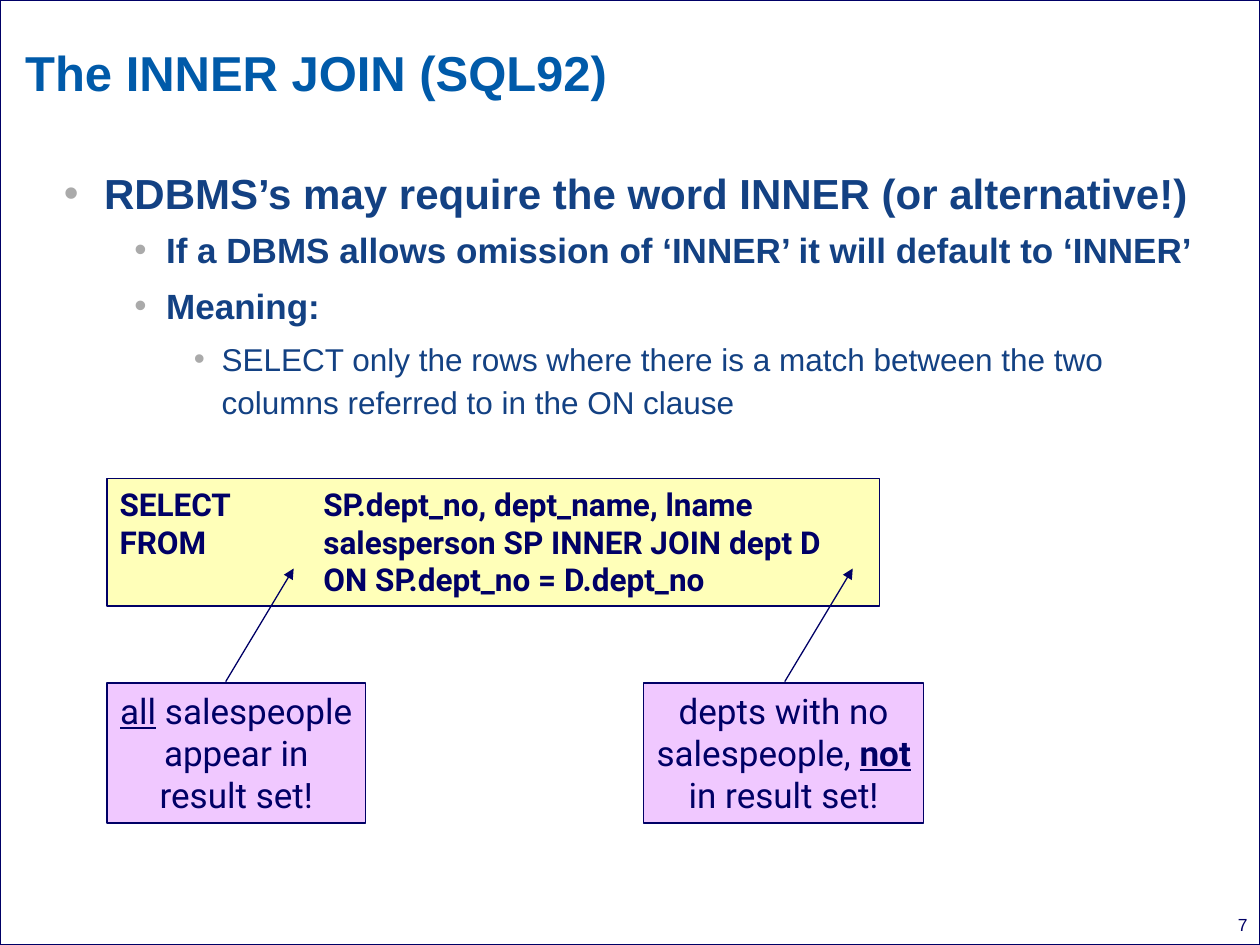
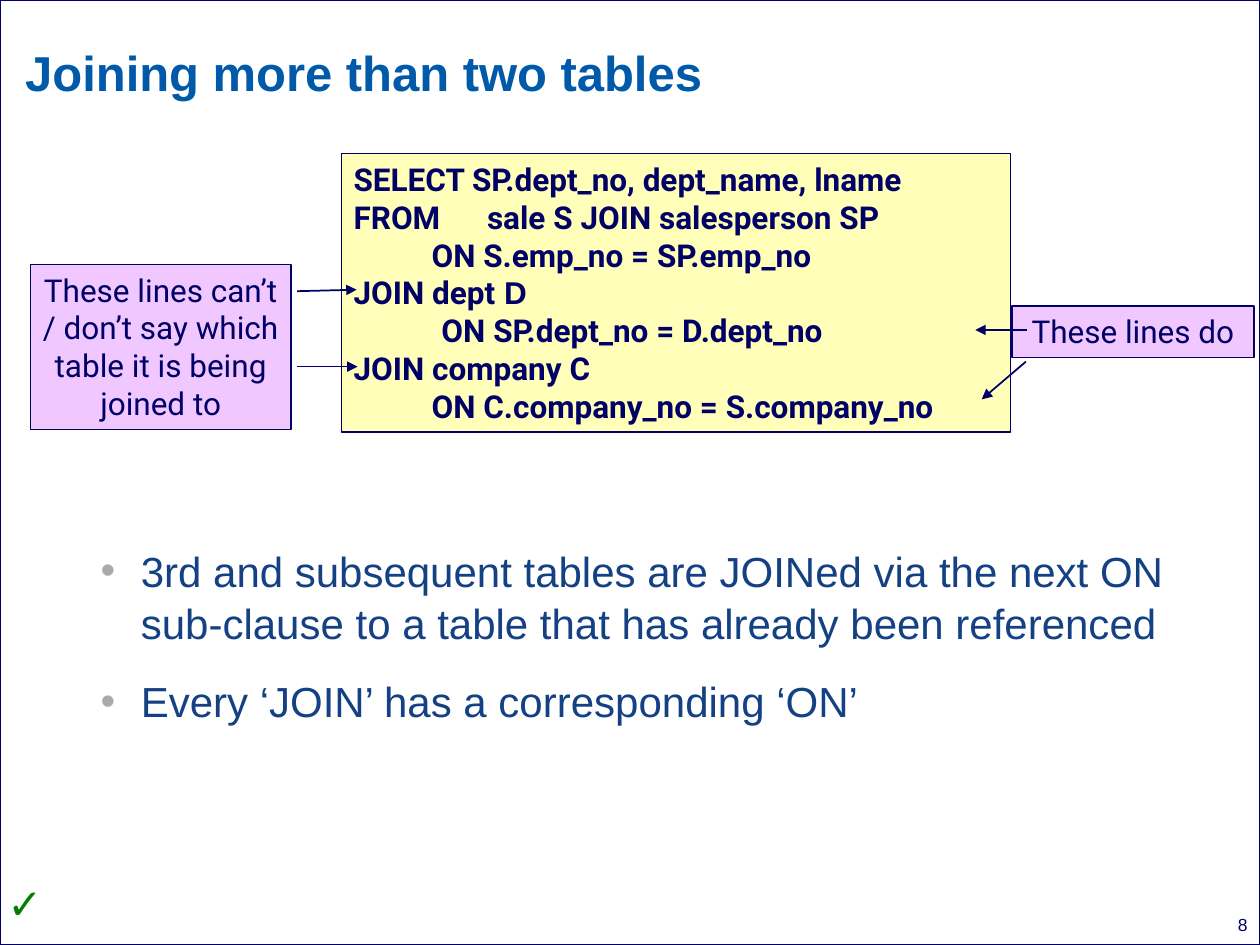
from lxml.etree import SubElement
from pptx import Presentation
from pptx.dml.color import RGBColor
from pptx.enum.shapes import MSO_CONNECTOR, MSO_SHAPE
from pptx.enum.text import MSO_ANCHOR, PP_ALIGN
from pptx.oxml.ns import qn
from pptx.util import Cm, Pt

COLOURS = {
    "ink": "000066",
    "title": "005AA9",
    "body": "134183",
    "bullet": "AAAAAA",
    "code": "FFFFB9",
    "note": "F0C8FF",
    "tick": "008000",
}
LEVELS = [
    {"margin": 0.81, "hang": 0.81, "size": 24},
    {"margin": 2.06, "hang": 0.64, "size": 20, "spacing": 1.1, "before": 3.45, "after": 2.3},
    {"margin": 3.18, "hang": 0.56, "size": 18, "spacing": 1.15, "before": 2.1, "after": 3.1},
]
WIDTH, HEIGHT = 25.4, 19.05


def colour(name):
    """Return the named colour."""
    return RGBColor.from_string(COLOURS[name])


class Lesson:
    """Holds the deck's style and the current page."""

    def __init__(self):
        """Start an empty deck with a 4:3 page."""
        self.deck = Presentation()
        self.deck.slide_width, self.deck.slide_height = Cm(WIDTH), Cm(HEIGHT)
        self.page = None

    def start(self, title, number):
        """Add a page with its border, title and number."""
        self.page = self.deck.slides.add_slide(self.deck.slide_layouts[6])
        self.panel((0, 0, WIDTH, HEIGHT), width=1)
        frame = self.frame((0, 0, WIDTH, 2.74), (0.51, 0.51, 5, 0.36))
        frame.vertical_anchor = MSO_ANCHOR.MIDDLE
        self.paragraph(frame, title, 28, "title", bold=True)
        frame = self.frame((16.26, 18.29, 8.89, 0.43), (0, 0.13, 0, 0.13))
        self.paragraph(frame, str(number), 10, align=PP_ALIGN.RIGHT)

    def frame(self, place, insets=(0.25, 0.13, 0.25, 0.13), wrap=True):
        """Add a text box and return its text frame."""
        box = self.page.shapes.add_textbox(*map(Cm, place))
        frame = box.text_frame
        frame.word_wrap = wrap
        (frame.margin_left, frame.margin_top,
         frame.margin_right, frame.margin_bottom) = map(Cm, insets)
        return frame

    def panel(self, place, fill=None, width=0.75):
        """Add an outlined rectangle and return its text frame."""
        box = self.page.shapes.add_shape(MSO_SHAPE.RECTANGLE, *map(Cm, place))
        box.shadow.inherit = False
        if fill:
            box.fill.solid()
            box.fill.fore_color.rgb = colour(fill)
        else:
            box.fill.background()
        box.line.color.rgb = colour("ink")
        box.line.width = Pt(width)
        box.text_frame.word_wrap = True
        box.text_frame.vertical_anchor = MSO_ANCHOR.TOP
        return box.text_frame

    def paragraph(self, frame, text, size, ink="ink", name="Arial", bold=False,
                  align=PP_ALIGN.LEFT):
        """Add a paragraph made of a string or of (text, font changes) pairs."""
        para = frame.paragraphs[0]
        if para.runs:
            para = frame.add_paragraph()
        para.alignment = align
        font = para.font
        font.name, font.size, font.bold = name, Pt(size), bold
        font.color.rgb = colour(ink)
        for words, changes in [(text, {})] if isinstance(text, str) else text:
            span = para.add_run()
            span.text = words
            for key, value in changes.items():
                setattr(span.font, key, value)
        return para

    def bullets(self, place, items, top=0.13, spacing=1.0, gap=0):
        """Add bulleted text from (level, text, bold) items."""
        frame = self.frame(place, (0.25, top, 0.25, 0.13))
        for index, (level, text, bold) in enumerate(items):
            style = LEVELS[level]
            para = self.paragraph(frame, text, style["size"], "body", bold=bold)
            para.level = level
            para.line_spacing = style.get("spacing", spacing)
            para.space_before = Pt(style.get("before", gap if index else 0))
            para.space_after = Pt(style.get("after", 0))
            properties = para._p.get_or_add_pPr()
            properties.set("marL", str(Cm(style["margin"])))
            properties.set("indent", str(-Cm(style["hang"])))
            tint = SubElement(properties, qn("a:buClr"))
            SubElement(tint, qn("a:srgbClr"), val=COLOURS["bullet"])
            face = SubElement(properties, qn("a:buFont"), typeface="Arial")
            mark = SubElement(properties, qn("a:buChar"), char="•")
            for element in (tint, face, mark):
                properties.find(qn("a:defRPr")).addprevious(element)

    def code(self, place, tab, lines):
        """Add a code panel from (indent, text) lines with one tab stop."""
        frame = self.panel(place, "code")
        for indent, text in lines:
            para = self.paragraph(frame, text, 18, name="Roboto", bold=True)
            properties = para._p.get_or_add_pPr()
            properties.set("marL", str(Cm(indent)))
            stops = SubElement(properties, qn("a:tabLst"))
            SubElement(stops, qn("a:tab"), pos=str(Cm(tab)), algn="l")
            properties.find(qn("a:defRPr")).addprevious(stops)

    def note(self, place, text, size):
        """Add a centred note panel."""
        self.paragraph(self.panel(place, "note"), text, size, name="Roboto",
                       align=PP_ALIGN.CENTER)

    def arrow(self, start, end, width):
        """Add a line with an arrowhead at its end."""
        line = self.page.shapes.add_connector(
            MSO_CONNECTOR.STRAIGHT, *map(Cm, start + end))
        line.line.color.rgb = colour("ink")
        line.line.width = Pt(width)
        properties = line._element.spPr
        SubElement(properties.get_or_add_ln(), qn("a:tailEnd"), type="triangle")
        SubElement(properties, qn("a:effectLst"))


def inner_join(lesson):
    """Build the page on the inner join."""
    lesson.start("The INNER JOIN (SQL92)", 7)
    lesson.bullets((1.04, 3.05, 23.72, 14.96), [
        (0, "RDBMS’s may require the word INNER (or alternative!)", True),
        (1, "If a DBMS allows omission of ‘INNER’ it will default to ‘INNER’", True),
        (1, "Meaning:", True),
        (2, "SELECT only the rows where there is a match between the two "
            "columns referred to in the ON clause", False),
    ], spacing=1.2)
    lesson.code((2.16, 9.65, 15.57, 2.57), 4.11, [
        (0, "SELECT\tSP.dept_no, dept_name, lname"),
        (0, "FROM\tsalesperson SP INNER JOIN dept D"),
        (4.11, "ON SP.dept_no = D.dept_no"),
    ])
    lesson.note((12.98, 13.77, 5.64, 2.82), [
        ("depts with no salespeople, ", {}),
        ("not", {"bold": True, "underline": True}),
        (" in result set!", {}),
    ], 20)
    lesson.note((2.16, 13.77, 5.21, 2.82), [
        ("all", {"underline": True}),
        (" salespeople appear in result set!", {}),
    ], 20)
    for left in (4.55, 15.82):
        lesson.arrow((left, 13.74), (left + 1.37, 11.46), 0.75)


def several_tables(lesson):
    """Build the page on joining more than two tables."""
    lesson.start("Joining more than two tables", 8)
    lesson.bullets((1.78, 9.3, 22.99, 9.75), [
        (0, "3rd and subsequent tables are JOINed via the next ON sub-clause "
            "to a table that has already been referenced", False),
        (0, "Every ‘JOIN’ has a corresponding ‘ON’", False),
    ], top=1.65, spacing=1.04, gap=14.8)
    lesson.code((6.88, 3.1, 13.49, 5.61), 2.69, [
        (0, "SELECT SP.dept_no, dept_name, lname"),
        (0, "FROM\tsale S JOIN salesperson SP"),
        (1.57, "ON S.emp_no = SP.emp_no"),
        (0, [("JOIN dept", {}), (" D", {"name": "Arial"})]),
        (1.77, "ON SP.dept_no = D.dept_no"),
        (0, "JOIN company C"),
        (1.57, "ON C.company_no = S.company_no"),
    ])
    lesson.note((0.61, 5.33, 5.26, 3.33),
                "These lines can’t / don’t say which table it is being joined to", 18)
    lesson.note((20.4, 6.17, 4.88, 1.04), "These lines do", 18)
    for start, end in [
        ((5.99, 5.87), (7.19, 5.84)),
        ((5.99, 7.39), (7.21, 7.39)),
        ((20.7, 6.65), (19.66, 6.65)),
        ((20.68, 7.29), (19.79, 8.05)),
    ]:
        lesson.arrow(start, end, 1)
    tick = lesson.frame((-0.1, 17.55, 1.09, 1.27), wrap=False)
    lesson.paragraph(tick, "✓", 24, "tick", bold=True)


lesson = Lesson()
inner_join(lesson)
several_tables(lesson)
lesson.deck.save("out.pptx")
